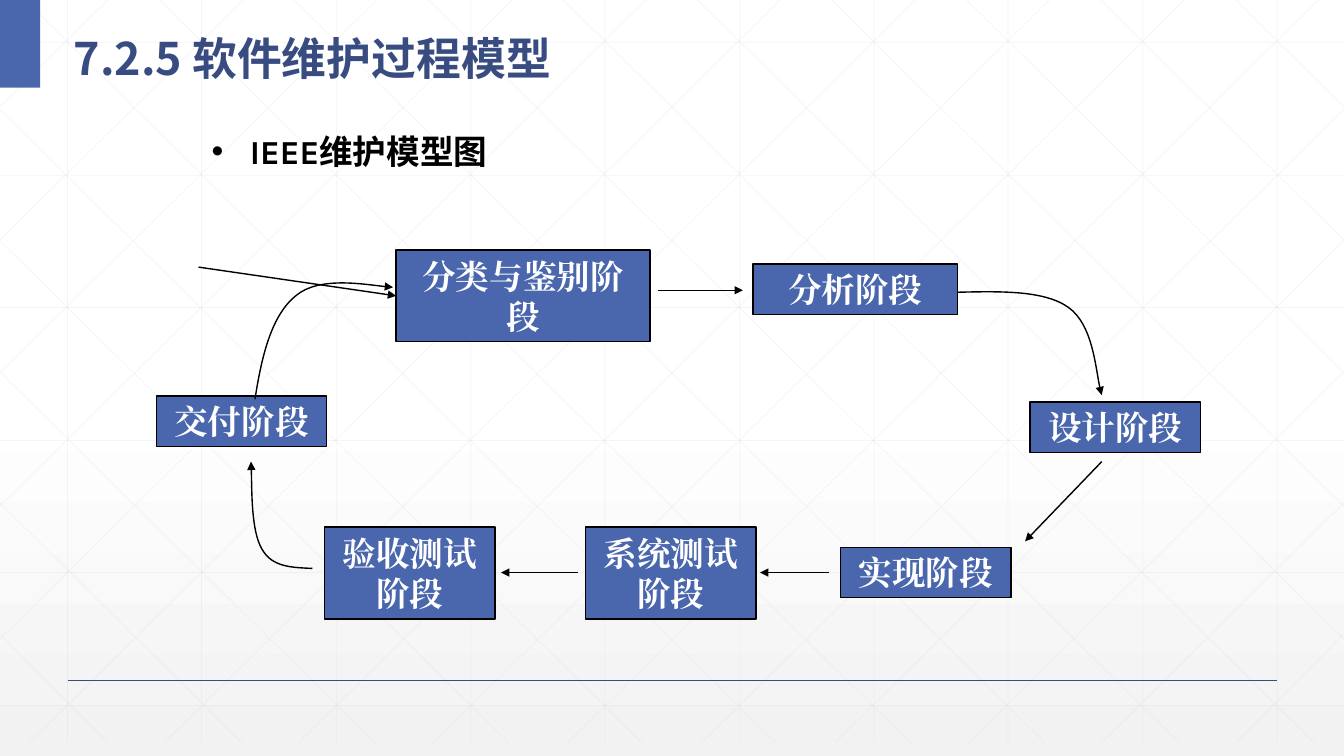
"""Builds the slide showing the cycle of phases in the software maintenance model."""
from lxml import etree
from pptx import Presentation
from pptx import util as u
from pptx.dml.color import RGBColor
from pptx.enum import shapes, text
from pptx.oxml import ns

PX = 9144
WIDTH, GRID_BOTTOM = 1333, 737
BLUE = RGBColor(0x4A, 0x66, 0xAC)
NAVY = RGBColor(0x38, 0x4C, 0x81)
BLACK = RGBColor(0, 0, 0)
WHITE = RGBColor(0xFF, 0xFF, 0xFF)
PALE = RGBColor(0xF2, 0xF2, 0xF2)
GRID_GREY = RGBColor(0xD9, 0xD9, 0xD9)


def style_line(shape, color, points=1, arrow=False, opacity=None):
    """Give a line its colour, width, arrowhead and opacity, without shadow."""
    shape.line.color.rgb = color
    shape.line.width = u.Pt(points)
    outline = shape.element.spPr.find(ns.qn("a:ln"))
    if opacity:
        tint = outline.find(".//" + ns.qn("a:srgbClr"))
        etree.SubElement(tint, ns.qn("a:alpha")).set("val", str(opacity * 1000))
    if arrow:
        etree.SubElement(outline, ns.qn("a:tailEnd")).set("type", "triangle")
    etree.SubElement(shape.element.spPr, ns.qn("a:effectLst"))


def write(para, content, font, size, color, align):
    """Add one bold run to a paragraph."""
    para.alignment = align
    span = para.add_run()
    span.text = content
    span.font.name = font
    span.font.size = u.Pt(size)
    span.font.bold = True
    span.font.color.rgb = color
    etree.SubElement(span.font._element, ns.qn("a:ea")).set("typeface", font)


deck = Presentation()
deck.slide_width = u.Emu(12192000)
deck.slide_height = 750 * PX
page = deck.slides.add_slide(deck.slide_layouts[1])
straight = shapes.MSO_CONNECTOR.STRAIGHT

backdrop = page.background.fill
backdrop.gradient()
backdrop.gradient_angle = 270
for stop, color, position in zip(backdrop.gradient_stops, (WHITE, PALE), (0.53, 1)):
    stop.color.rgb = color
    stop.position = position

grid = []
for column in range(10):
    x = 67 + column * 400 / 3
    grid.append((x, 0, x, GRID_BOTTOM))
for row in range(6):
    y = 42 + row * 131.6
    grid.append((0, y, WIDTH, y))
diagonals = []
for step in range(10):
    x = 25 + step * 133.4
    run = min(745, WIDTH - x)
    diagonals.append((x, 0, x + run, run * GRID_BOTTOM / 745))
for step in range(5):
    diagonals.append((0, 109 + step * 130, 637 - step * 132.4, GRID_BOTTOM))
for x1, y1, x2, y2 in diagonals:
    grid += [(x1, y1, x2, y2), (WIDTH - x1, y1, WIDTH - x2, y2)]
for ends in grid:
    line = page.shapes.add_connector(straight, *(round(end) * PX for end in ends))
    style_line(line, GRID_GREY, 0.5, opacity=25)

footer_rule = page.shapes.add_connector(straight, 67 * PX, 675 * PX, 1267 * PX, 675 * PX)
style_line(footer_rule, NAVY)
corner = page.shapes.add_shape(shapes.MSO_SHAPE.RECTANGLE, 0, 0, 40 * PX, 87 * PX)
corner.shadow.inherit = False
corner.fill.solid()
corner.fill.fore_color.rgb = BLUE
corner.line.fill.background()

title, body = page.shapes.title, page.placeholders[1]
for holder, (left, top, width, height) in (
    (title, (63, 13, 1190, 73)),
    (body, (200, 125, 900, 495)),
):
    holder.left, holder.top = left * PX, top * PX
    holder.width, holder.height = width * PX, height * PX
    holder.text_frame.auto_size = text.MSO_AUTO_SIZE.NONE
    holder.element.getparent().append(holder.element)

title.text_frame.vertical_anchor = text.MSO_ANCHOR.MIDDLE
para = title.text_frame.paragraphs[0]
para.line_spacing = 1.3
write(para, "7.2.5 软件维护过程模型", "Noto Sans CJK SC", 32, NAVY, text.PP_ALIGN.LEFT)

para = body.text_frame.paragraphs[0]
para.space_before = u.Pt(5)
write(para, "IEEE维护模型图", "Karla", 24, BLACK, text.PP_ALIGN.LEFT)
indents = para._p.get_or_add_pPr()
indents.set("marL", str(38 * PX))
indents.set("indent", str(-38 * PX))

phases = {}
for name, left, top, width, height in (
    ("分类与鉴别阶段", 393, 248, 252, 91),
    ("分析阶段", 747, 262, 203, 50),
    ("设计阶段", 1022, 399, 169, 50),
    ("实现阶段", 834, 543, 169, 50),
    ("系统测试阶段", 581, 523, 169, 91),
    ("验收测试阶段", 322, 523, 169, 91),
    ("交付阶段", 155, 393, 169, 50),
):
    box = page.shapes.add_shape(
        shapes.MSO_SHAPE.RECTANGLE, left * PX, top * PX, width * PX, height * PX
    )
    box.shadow.inherit = False
    box.fill.solid()
    box.fill.fore_color.rgb = BLUE
    box.line.color.rgb = BLACK
    box.line.width = u.Pt(1)
    box.text_frame.word_wrap = True
    box.text_frame.vertical_anchor = text.MSO_ANCHOR.MIDDLE
    write(box.text_frame.paragraphs[0], name, "Times New Roman", 24, WHITE, text.PP_ALIGN.CENTER)
    phases[name] = box

for ends in (
    (653, 288, 737, 288),
    (1093, 458, 1017, 537),
    (822, 568, 754, 568),
    (573, 568, 497, 568),
    (197, 265, 393, 293),
):
    arrow = page.shapes.add_connector(straight, *(end * PX for end in ends))
    style_line(arrow, BLACK, arrow=True)
arrow.end_connect(phases["分类与鉴别阶段"], 1)

for start, *bends in (
    ((950, 290), (993, 289), (1036, 288), (1060, 305), (1084, 322), (1088, 376), (1093, 392)),
    ((310, 564), (290, 563), (270, 563), (260, 545), (249, 527), (250, 474), (249, 458)),
    ((253, 396), (260, 351), (270, 312), (294, 293), (317, 274), (374, 284), (390, 285)),
):
    builder = page.shapes.build_freeform(*start, scale=PX)
    builder.add_line_segments(bends, close=False)
    curve = builder.convert_to_shape()
    curve.fill.background()
    style_line(curve, BLACK, arrow=True)
    outline = curve.element.find(".//" + ns.qn("a:path"))
    for index, segment in enumerate(outline.findall(ns.qn("a:lnTo"))):
        if index % 3 == 0:
            bezier = etree.SubElement(outline, ns.qn("a:cubicBezTo"))
        bezier.append(segment[0])
        outline.remove(segment)

deck.save("out.pptx")
